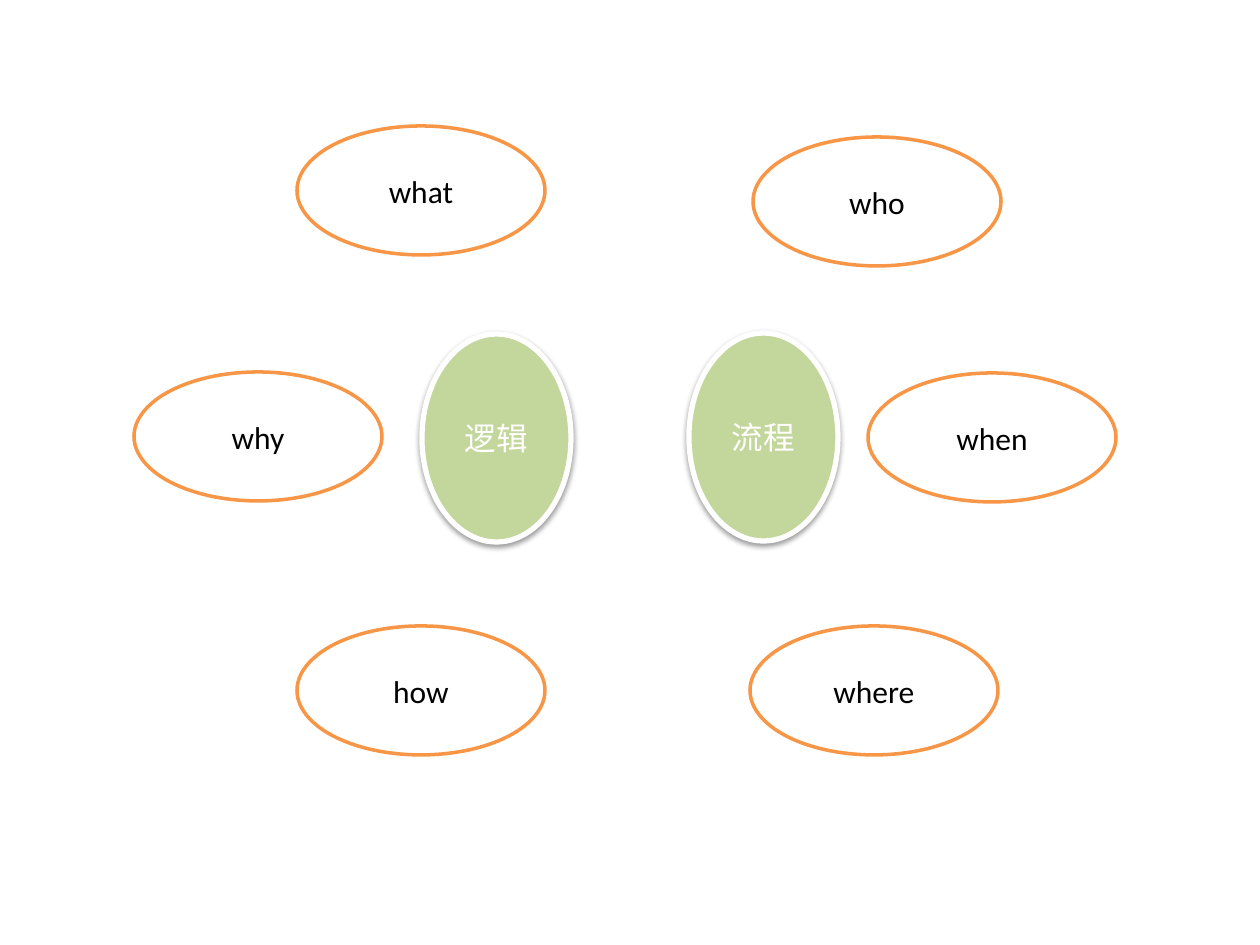
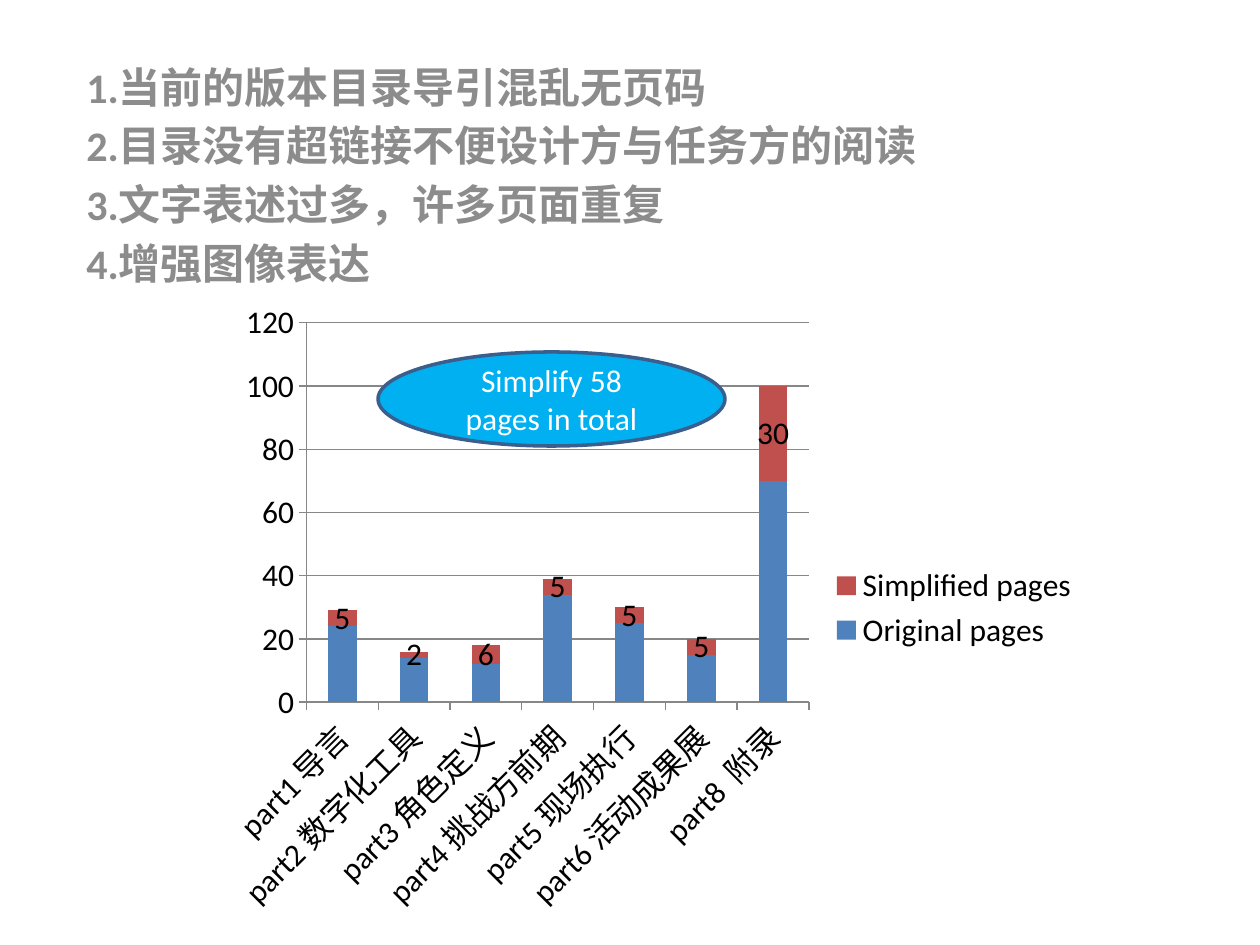
from lxml.etree import SubElement
from pptx import Presentation
from pptx.chart.data import CategoryChartData
from pptx.dml.color import RGBColor
from pptx.enum.chart import XL_CHART_TYPE as ChartType
from pptx.enum.chart import XL_LEGEND_POSITION as LegendPosition
from pptx.enum.chart import XL_TICK_MARK as TickMark
from pptx.enum.shapes import MSO_SHAPE as Shape
from pptx.enum.text import MSO_ANCHOR as Anchor
from pptx.enum.text import PP_ALIGN as Align
from pptx.oxml.ns import qn
from pptx.util import Emu, Pt

PX_PER_INCH = 126
FONT = "Calibri"
BODY_SIZE = 18
HEADING_SIZE = 24
BLACK, WHITE = "000000", "FFFFFF"
ORANGE, GREEN, GREY = "F79646", "C3D69B", "8C8C8C"
SKY, NAVY, AXIS_GREY = "00B0F0", "3A5F8C", "878787"

QUESTION_SIZE = (248, 129)
QUESTIONS = [
    ("what", 297, 126),
    ("why", 134, 372),
    ("when", 868, 373),
    ("where", 750, 626),
    ("who", 753, 137),
    ("how", 297, 626),
]
CORE_SIZE = (149, 208)
CORES = [("逻辑", 422, 334), ("流程", 689, 333)]

ISSUES = [
    "1.当前的版本目录导引混乱无页码",
    "2.目录没有超链接不便设计方与任务方的阅读",
    "3.文字表述过多，许多页面重复",
    "4.增强图像表达",
]
PARTS = [
    "part1 导言", "part2 数字化工具", "part3 角色定义", "part4 挑战方前期",
    "part5 现场执行", "part6 活动成果展", "part8  附录",
]
PAGE_COUNTS = [
    ("Original pages", "4F81BD", (24, 14, 12, 34, 25, 15, 70)),
    ("Simplified pages", "C0504D", (5, 2, 6, 5, 5, 5, 30)),
]


def px(*lengths):
    return [Emu(round(length * 914400 / PX_PER_INCH)) for length in lengths]


def color(code):
    return RGBColor.from_string(code)


class Deck:
    """Holds the shared style and the slide being filled."""

    def __init__(self, width, height):
        self.file = Presentation()
        self.file.slide_width, self.file.slide_height = px(width, height)
        self.page = None

    def add_page(self):
        self.page = self.file.slides.add_slide(self.file.slide_layouts[6])

    def style_font(self, font, size, code, bold=False):
        font.name = FONT
        font.size = Pt(size)
        font.bold = bold
        font.color.rgb = color(code)

    def add_span(self, para, text, size, code, bold=False):
        span = para.add_run()
        span.text = text
        self.style_font(span.font, size, code, bold)

    def add_ellipse(self, text, left, top, size, fill, line, line_width, text_color):
        oval = self.page.shapes.add_shape(Shape.OVAL, *px(left, top, *size))
        oval.shadow.inherit = False
        oval.fill.solid()
        oval.fill.fore_color.rgb = color(fill)
        oval.line.color.rgb = color(line)
        oval.line.width = Pt(line_width)
        frame = oval.text_frame
        frame.word_wrap = True
        frame.vertical_anchor = Anchor.MIDDLE
        para = frame.paragraphs[0]
        para.alignment = Align.CENTER
        self.add_span(para, text, BODY_SIZE, text_color)
        return oval

    def add_shadow(self, shape):
        """Give the shape a soft shadow that falls straight down."""
        effects = shape.element.spPr.find(qn("a:effectLst"))
        shadow = SubElement(effects, qn("a:outerShdw"), blurRad=str(Pt(3.1)),
                            dist=str(Pt(1.6)), dir="5400000", rotWithShape="0")
        shade = SubElement(shadow, qn("a:srgbClr"), val=BLACK)
        SubElement(shade, qn("a:alpha"), val="38000")

    def add_list(self, lines, left, top, width, height):
        box = self.page.shapes.add_textbox(*px(left, top, width, height))
        frame = box.text_frame
        frame.word_wrap = True
        for index, line in enumerate(lines):
            para = frame.add_paragraph() if index else frame.paragraphs[0]
            para.space_before = Pt(HEADING_SIZE * 0.2)
            self.add_span(para, line, HEADING_SIZE, GREY, bold=True)

    def add_stacked_chart(self, categories, series_rows, left, top, width, height):
        data = CategoryChartData()
        data.categories = categories
        for name, _, values in series_rows:
            data.add_series(name, values)
        chart = self.page.shapes.add_chart(
            ChartType.COLUMN_STACKED, *px(left, top, width, height), data).chart
        self.style_font(chart.font, BODY_SIZE, BLACK)
        chart.has_title = False
        chart.has_legend = True
        chart.legend.position = LegendPosition.RIGHT
        chart.legend.include_in_layout = False

        value_axis = chart.value_axis
        value_axis.has_major_gridlines = True
        for axis in (chart.category_axis, value_axis):
            axis.major_tick_mark = TickMark.OUTSIDE
            axis.minor_tick_mark = TickMark.NONE
        for part in (chart.category_axis, value_axis, value_axis.major_gridlines):
            part.format.line.color.rgb = color(AXIS_GREY)
            part.format.line.width = Pt(0.75)

        plot = chart.plots[0]
        plot.gap_width = 150
        plot.overlap = 100
        plot.vary_by_categories = False
        for series, (_, code, _) in zip(plot.series, series_rows):
            series.format.fill.solid()
            series.format.fill.fore_color.rgb = color(code)
        labels = plot.series[-1].data_labels
        labels.show_value = True
        self.style_font(labels.font, BODY_SIZE, BLACK)


def build_questions(deck):
    deck.add_page()
    for text, left, top in QUESTIONS:
        deck.add_ellipse(text, left, top, QUESTION_SIZE, WHITE, ORANGE, 2, BLACK)
    for text, left, top in CORES:
        core = deck.add_ellipse(text, left, top, CORE_SIZE, GREEN, WHITE, 3, WHITE)
        deck.add_shadow(core)


def build_page_counts(deck):
    deck.add_page()
    deck.add_list(ISSUES, 74, 55, 882, 242)
    deck.add_stacked_chart(PARTS, PAGE_COUNTS, 210, 291, 882, 634)
    deck.add_ellipse("Simplify 58 pages in total", 378, 352, (347, 94),
                     SKY, NAVY, 2, WHITE)


def main():
    deck = Deck(1260, 945)
    build_questions(deck)
    build_page_counts(deck)
    deck.file.save("out.pptx")


if __name__ == "__main__":
    main()
